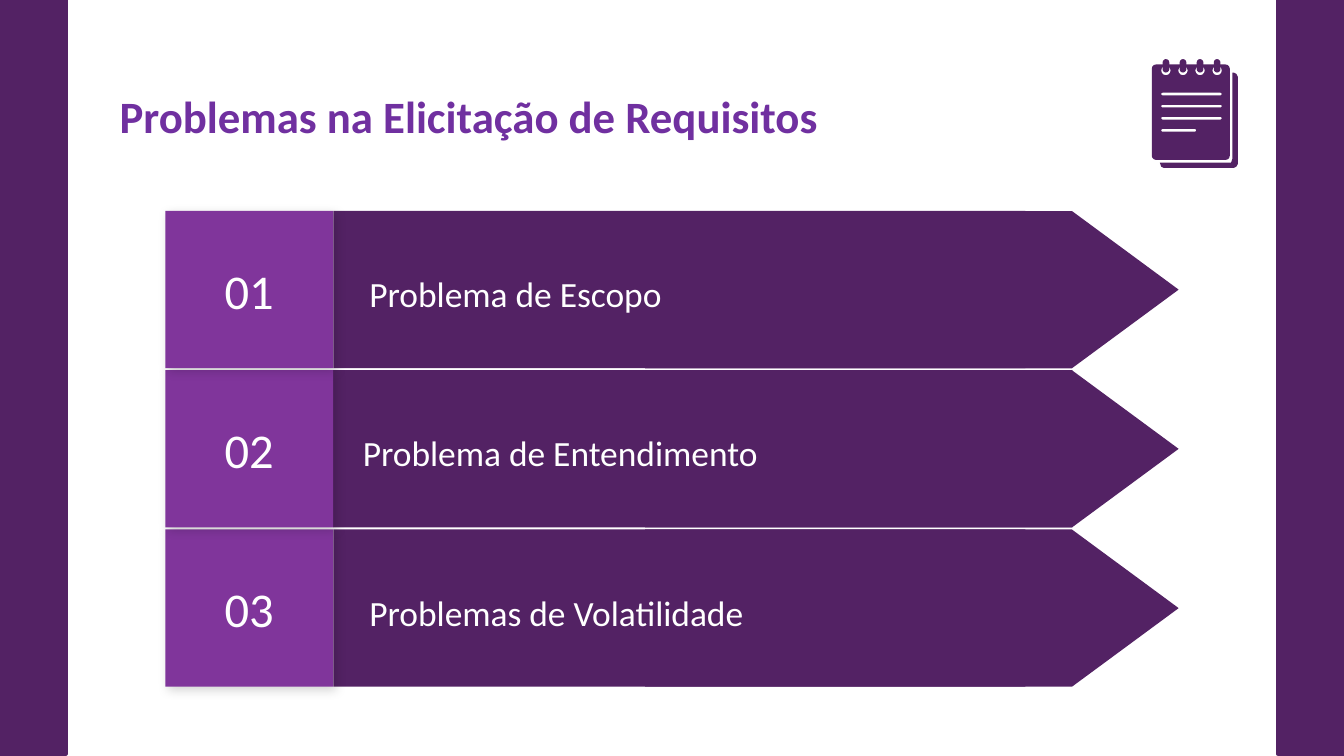
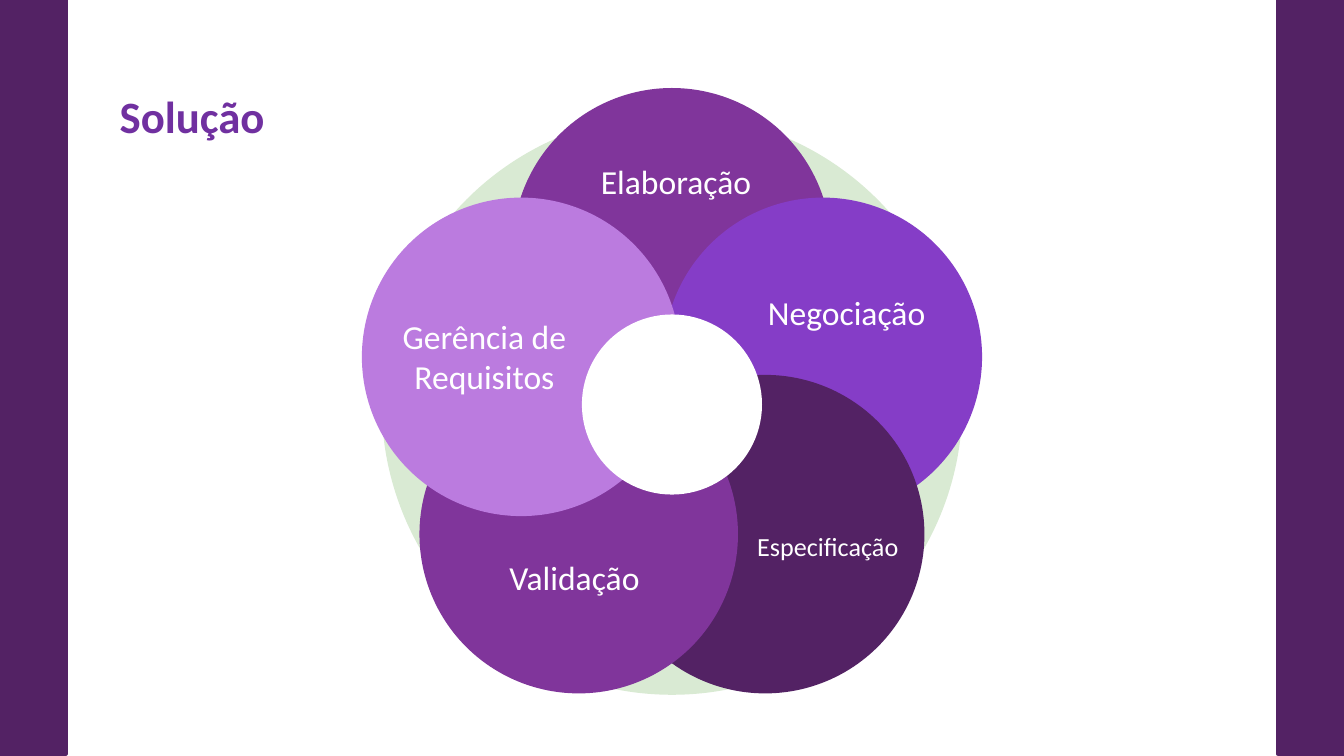
import math
from dataclasses import dataclass

import lxml.etree
import pptx
import pptx.dml.color
import pptx.enum.shapes
import pptx.enum.text
import pptx.oxml.ns
import pptx.util

Inches = pptx.util.Inches
MSO = pptx.enum.shapes.MSO_SHAPE
ALIGN = pptx.enum.text.PP_ALIGN
ANCHOR = pptx.enum.text.MSO_ANCHOR

SLIDE_W = 10
SLIDE_H = SLIDE_W * 9 / 16
BAND_W = 0.49
FONT = "Calibri"
COLORS = {
    "dark": "532264",
    "purple": "80359B",
    "violet": "853DC7",
    "lilac": "BB7BDF",
    "title": "7030A0",
    "green": "D9EAD3",
    "white": "FFFFFF",
    "shadow": "000000",
}

Point = tuple[float, float]


@dataclass
class Problem:
    number: str
    label: str
    bar_w: float
    label_in_bar: bool = False


@dataclass
class Petal:
    label: str
    color: str
    box: tuple[float, float, float, float]
    size: int = 18
    filled: bool = True


# In drawing order, the last row first.
PROBLEMS = [
    Problem("03", "Problemas de Volatilidade", 5.15),
    Problem("02", "Problema de Entendimento", 5.5, label_in_bar=True),
    Problem("01", "Problema de Escopo", 5.15),
]

# Clockwise from the top.
PETALS = [
    Petal("Elaboração", "purple", (4.26, 0.99, 1.54, 0.72)),
    Petal("Negociação", "violet", (5.42, 1.96, 1.76, 0.72), filled=False),
    Petal("Especificação", "dark", (5.38, 3.7, 1.56, 0.72), size=14, filled=False),
    Petal("Validação", "purple", (3.55, 3.93, 1.45, 0.72)),
    Petal("Gerência de Requisitos", "lilac", (2.77, 2.29, 1.67, 0.72)),
]


def rgb(name: str) -> pptx.dml.color.RGBColor:
    return pptx.dml.color.RGBColor.from_string(COLORS[name])


def paint(sp, color: str, line_pt: float = 0) -> None:
    sp.shadow.inherit = False
    sp.fill.solid()
    sp.fill.fore_color.rgb = rgb(color)
    if line_pt:
        sp.line.color.rgb = rgb(color)
        sp.line.width = pptx.util.Pt(line_pt)
    else:
        sp.line.fill.background()


def add_preset(shapes, kind, x: float, y: float, w: float, h: float,
               color: str, line_pt: float = 0):
    sp = shapes.add_shape(kind, Inches(x), Inches(y), Inches(w), Inches(h))
    paint(sp, color, line_pt)
    return sp


def add_circle(shapes, cx: float, cy: float, d: float, color: str):
    return add_preset(shapes, MSO.OVAL, cx - d / 2, cy - d / 2, d, d, color)


def add_box(shapes, x: float, y: float, w: float, h: float):
    return shapes.add_textbox(Inches(x), Inches(y), Inches(w), Inches(h))


def set_text(sp, text: str, *, size: float, color: str = "white", bold: bool = False,
             align=ALIGN.LEFT, anchor=ANCHOR.MIDDLE, spacing: float = 1.0,
             left: float = 0.1) -> None:
    tf = sp.text_frame
    tf.word_wrap = True
    tf.auto_size = pptx.enum.text.MSO_AUTO_SIZE.NONE
    tf.vertical_anchor = anchor
    tf.margin_left = Inches(left)
    tf.margin_top = tf.margin_right = tf.margin_bottom = Inches(0.1)
    p = tf.paragraphs[0]
    p.alignment = align
    p.line_spacing = spacing
    r = p.add_run()
    r.text = text
    r.font.name = FONT
    r.font.size = pptx.util.Pt(size)
    r.font.bold = bold
    r.font.color.rgb = rgb(color)


def add_shadow(sp) -> None:
    """Give the shape a soft shadow towards the lower right."""
    qn = pptx.oxml.ns.qn
    effects = sp._element.spPr.find(qn("a:effectLst"))
    shadow = lxml.etree.SubElement(
        effects, qn("a:outerShdw"), blurRad=str(pptx.util.Pt(5.6)),
        dist=str(pptx.util.Pt(2.2)), dir=str(45 * 60000), rotWithShape="0")
    color = lxml.etree.SubElement(shadow, qn("a:srgbClr"), val=COLORS["shadow"])
    lxml.etree.SubElement(color, qn("a:alpha"), val="17000")


def add_slide(prs, title: str, title_w: float):
    """Add a slide with its side bands and title."""
    s = prs.slides.add_slide(prs.slide_layouts[5])
    for x in (SLIDE_W - BAND_W, 0):
        add_preset(s.shapes, MSO.RECTANGLE, x, 0, BAND_W, 5.61, "dark", line_pt=2)
    sp = s.shapes.title
    sp.left, sp.top = Inches(0.79), Inches(0.56)
    sp.width, sp.height = Inches(title_w), Inches(0.65)
    set_text(sp, title, size=24, color="title", bold=True, anchor=ANCHOR.TOP)
    return s


def rounded(x: float, y: float, w: float, h: float, radius: float) -> list[Point]:
    """Outline of a rectangle with round corners."""
    corners = [(x + w - radius, y + h - radius), (x + radius, y + h - radius),
               (x + radius, y + radius), (x + w - radius, y + radius)]
    return [(cx + radius * math.cos(math.radians(90 * i + step)),
             cy + radius * math.sin(math.radians(90 * i + step)))
            for i, (cx, cy) in enumerate(corners) for step in (0, 30, 60, 90)]


def add_outline(shapes, contours: list[list[Point]], color: str):
    """Draw closed contours as one shape; inner contours become holes."""
    paths = [[(Inches(x), Inches(y)) for x, y in c] for c in contours]
    builder = shapes.build_freeform(*paths[0][0])
    builder.add_line_segments(paths[0][1:], close=True)
    for path in paths[1:]:
        builder.move_to(*path[0])
        builder.add_line_segments(path[1:], close=True)
    sp = builder.convert_to_shape()
    paint(sp, color)
    return sp


def add_notepad(s) -> None:
    shapes = s.shapes.add_group_shape().shapes
    back_sheet = [(9.17, 0.54), (9.17, 1.18), (9.16, 1.21), (9.14, 1.21), (8.63, 1.21),
                  (8.64, 1.24), (8.66, 1.25), (9.18, 1.25), (9.2, 1.24), (9.21, 1.22),
                  (9.21, 0.57), (9.2, 0.55), (9.18, 0.54)]
    add_outline(shapes, [back_sheet], "dark")
    ring_centers = [8.67 + 0.127 * i for i in range(4)]
    for cx in ring_centers:
        ring = add_preset(shapes, MSO.ROUNDED_RECTANGLE, cx - 0.02, 0.44, 0.05, 0.1, "dark")
        ring.adjustments[0] = 0.5
    page = rounded(8.57, 0.48, 0.58, 0.71, 0.03)
    holes = [rounded(cx - 0.03, 0.49, 0.07, 0.07, 0.035) for cx in ring_centers]
    lines = [rounded(8.64, 0.69 + 0.09 * i, w, 0.02, 0.01)
             for i, w in enumerate((0.45, 0.45, 0.45, 0.26))]
    add_outline(shapes, [page, *holes, *lines], "dark")


def add_problem(s, problem: Problem, y: float) -> None:
    x, badge_w, h = 1.23, 1.25, 1.17
    arrow_len, arrow_x = 3.97, 4.8
    # The connector points down, so it is turned about its centre.
    arrow = add_preset(s.shapes, MSO.FLOWCHART_OFFPAGE_CONNECTOR,
                       arrow_x + (arrow_len - h) / 2, y - (arrow_len - h) / 2,
                       h, arrow_len, "dark")
    arrow.rotation = 270
    bar = add_preset(s.shapes, MSO.RECTANGLE, x + badge_w, y, problem.bar_w, h, "dark")
    if problem.label_in_bar:
        set_text(bar, problem.label, size=19, spacing=1.15, left=0.22)
    else:
        box = add_box(s.shapes, 2.65, y + 0.14, 5.42, 0.9)
        set_text(box, problem.label, size=19, spacing=1.15)
    badge = add_preset(s.shapes, MSO.RECTANGLE, x, y, badge_w, h, "purple")
    add_shadow(badge)
    set_text(badge, problem.number, size=26, align=ALIGN.CENTER)


def add_petal(s, petal: Petal, cx: float, cy: float) -> None:
    shapes = s.shapes.add_group_shape().shapes
    add_circle(shapes, cx, cy, 2.37, petal.color)
    if petal.filled:
        label = add_preset(shapes, MSO.RECTANGLE, *petal.box, petal.color)
    else:
        label = add_box(shapes, *petal.box)
    set_text(label, petal.label, size=petal.size, align=ALIGN.CENTER)


def build_problems(prs) -> None:
    s = add_slide(prs, "Problemas na Elicitação de Requisitos", 6.59)
    add_notepad(s)
    for i, problem in enumerate(PROBLEMS):
        add_problem(s, problem, 3.94 - 1.185 * i)


def build_solution(prs) -> None:
    s = add_slide(prs, "Solução", 5.88)
    cx, cy, radius = 5, 3.01, 1.18
    add_circle(s.shapes, cx, cy, 4.32, "green")
    for i, petal in enumerate(PETALS):
        angle = 2 * math.pi * i / len(PETALS)
        add_petal(s, petal, cx + radius * math.sin(angle),
                  cy + 0.01 - radius * math.cos(angle))
    add_circle(s.shapes, cx, cy, 1.34, "white")


def main() -> None:
    prs = pptx.Presentation()
    prs.slide_width, prs.slide_height = Inches(SLIDE_W), Inches(SLIDE_H)
    build_problems(prs)
    build_solution(prs)
    prs.save("out.pptx")


if __name__ == "__main__":
    main()
